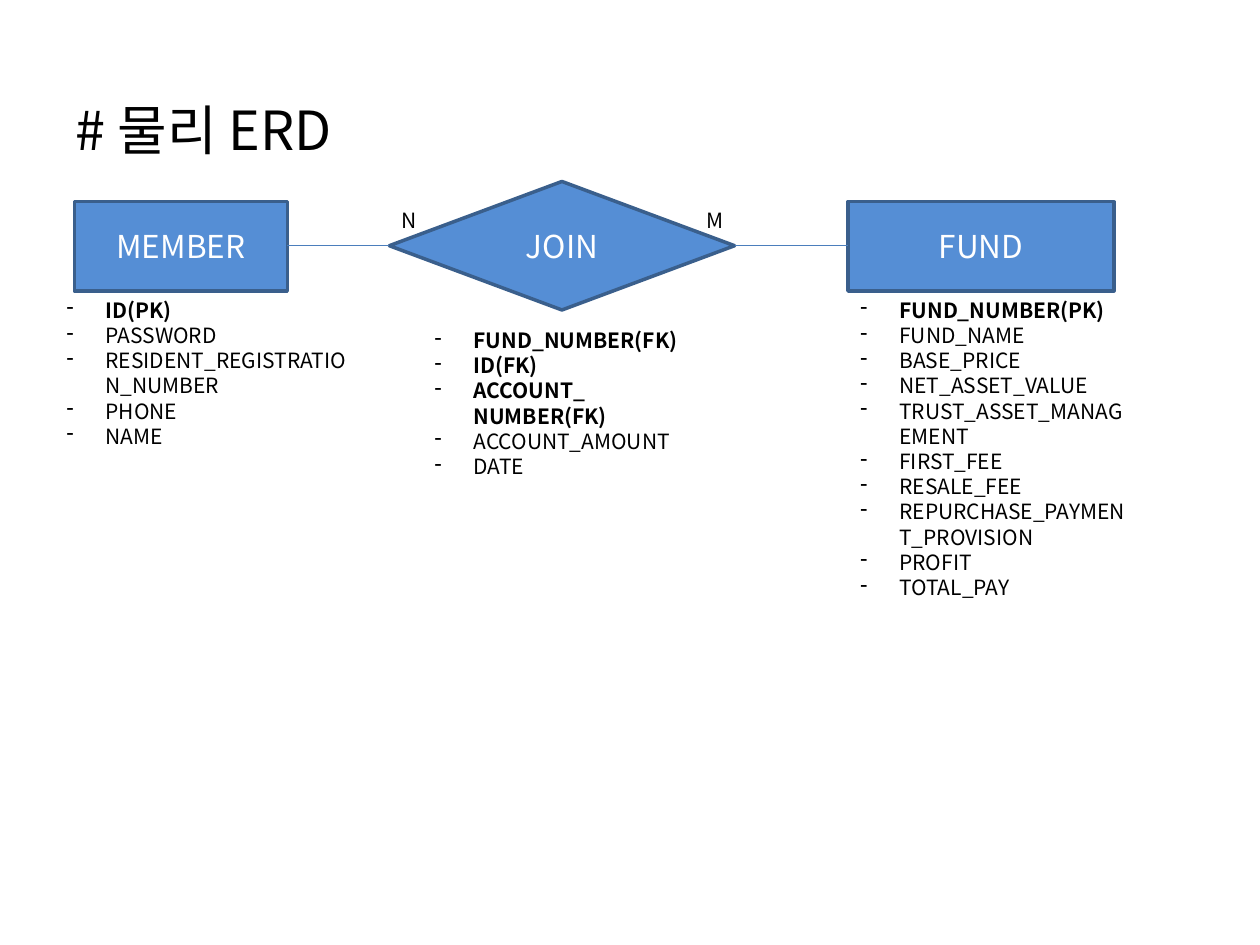
import dataclasses

import lxml.etree
import pptx
import pptx.dml.color
import pptx.enum.shapes
import pptx.enum.text
import pptx.oxml.ns
import pptx.util

Inches = pptx.util.Inches
Anchor = pptx.enum.text.MSO_ANCHOR
Shape = pptx.enum.shapes.MSO_SHAPE
qn = pptx.oxml.ns.qn

FONT = "Noto Sans CJK KR"
BLACK = "000000"
WHITE = "FFFFFF"
FILL = "558ED5"
OUTLINE = "3A5F8C"
CONNECTOR = "4B7EBC"
BULLET_INDENT = 0.31
AXIS_Y = 1.95


@dataclasses.dataclass
class Box:
    """A rectangle in inches."""
    left: float
    top: float
    width: float
    height: float

    def lengths(self) -> list:
        """Return the four measures as lengths."""
        return [Inches(n) for n in (self.left, self.top, self.width, self.height)]


@dataclasses.dataclass
class Entity:
    """A diagram node with its columns; the first key_count are bold."""
    name: str
    preset: pptx.enum.shapes.MSO_SHAPE
    box: Box
    columns_box: Box
    key_count: int
    columns: list[str]


ENTITIES = [
    Entity("MEMBER", Shape.RECTANGLE, Box(0.59, 1.6, 1.69, 0.71),
           Box(0.43, 2.31, 2.52, 1.31), 1,
           ["ID(PK)", "PASSWORD", "RESIDENT_REGISTRATION_NUMBER", "PHONE", "NAME"]),
    Entity("JOIN", Shape.DIAMOND, Box(3.09, 1.44, 2.74, 1.02),
           Box(3.35, 2.55, 2.49, 1.11), 3,
           ["FUND_NUMBER(FK)", "ID(FK)", "ACCOUNT_ NUMBER(FK)",
            "ACCOUNT_AMOUNT", "DATE"]),
    Entity("FUND", Shape.RECTANGLE, Box(6.73, 1.6, 2.11, 0.71),
           Box(6.73, 2.31, 2.36, 2.52), 1,
           ["FUND_NUMBER(PK)", "FUND_NAME", "BASE_PRICE", "NET_ASSET_VALUE",
            "TRUST_ASSET_MANAGEMENT", "FIRST_FEE", "RESALE_FEE",
            "REPURCHASE_PAYMENT_PROVISION", "PROFIT", "TOTAL_PAY"]),
]
CARDINALITIES = [("N", 3.09), ("M", 5.51)]


def color(value: str) -> pptx.dml.color.RGBColor:
    """Turn a hex string into a colour."""
    return pptx.dml.color.RGBColor.from_string(value)


def format_runs(paragraph, size: float, text_color: str, bold: bool = False) -> None:
    """Set font, size, colour and weight on each run."""
    for run in paragraph.runs:
        run.font.name = FONT
        run.font.size = pptx.util.Pt(size)
        run.font.bold = bold
        run.font.color.rgb = color(text_color)
        east_asian = lxml.etree.SubElement(run.font._element, qn("a:ea"))
        east_asian.set("typeface", FONT)


def add_text(shapes, box: Box, lines: list[str], size: float, bold_count: int = 0):
    """Add a wrapping text box with one paragraph per line."""
    frame = shapes.add_textbox(*box.lengths()).text_frame
    frame.word_wrap = True
    frame.text = "\n".join(lines)
    for index, paragraph in enumerate(frame.paragraphs):
        format_runs(paragraph, size, BLACK, index < bold_count)
    return frame


def add_dash(paragraph) -> None:
    """Give a paragraph a hanging dash bullet."""
    properties = paragraph._p.get_or_add_pPr()
    properties.set("marL", str(Inches(BULLET_INDENT)))
    properties.set("indent", str(-Inches(BULLET_INDENT)))
    lxml.etree.SubElement(properties, qn("a:buFontTx"))
    lxml.etree.SubElement(properties, qn("a:buChar")).set("char", "-")


def add_entity(slide, entity: Entity) -> None:
    """Draw a node and its column list as one group."""
    group = slide.shapes.add_group_shape()
    shape = group.shapes.add_shape(entity.preset, *entity.box.lengths())
    shape.shadow.inherit = False
    shape.fill.solid()
    shape.fill.fore_color.rgb = color(FILL)
    shape.line.color.rgb = color(OUTLINE)
    shape.line.width = pptx.util.Pt(2)
    shape.text_frame.text = entity.name
    shape.text_frame.vertical_anchor = Anchor.MIDDLE
    paragraph = shape.text_frame.paragraphs[0]
    paragraph.alignment = pptx.enum.text.PP_ALIGN.CENTER
    format_runs(paragraph, 18, WHITE)

    frame = add_text(group.shapes, entity.columns_box, entity.columns, 12,
                     entity.key_count)
    frame.auto_size = pptx.enum.text.MSO_AUTO_SIZE.SHAPE_TO_FIT_TEXT
    for paragraph in frame.paragraphs:
        add_dash(paragraph)


def add_link(slide, start: Box, end: Box) -> None:
    """Join the facing sides of two nodes."""
    connector = slide.shapes.add_connector(
        pptx.enum.shapes.MSO_CONNECTOR.STRAIGHT,
        Inches(start.left + start.width), Inches(AXIS_Y),
        Inches(end.left), Inches(AXIS_Y))
    connector.line.color.rgb = color(CONNECTOR)
    connector.line.width = pptx.util.Pt(0.75)
    lxml.etree.SubElement(connector._element.spPr, qn("a:effectLst"))


def main() -> None:
    """Build and save the slide."""
    presentation = pptx.Presentation()
    presentation.slide_width = Inches(10)
    presentation.slide_height = Inches(7.5)
    slide = presentation.slides.add_slide(presentation.slide_layouts[6])

    for entity in ENTITIES:
        add_entity(slide, entity)
    for start, end in zip(ENTITIES, ENTITIES[1:]):
        add_link(slide, start.box, end.box)
    for label, left in CARDINALITIES:
        frame = add_text(slide.shapes, Box(left, 1.6, 0.33, 0.3), [label], 12)
        frame.auto_size = pptx.enum.text.MSO_AUTO_SIZE.SHAPE_TO_FIT_TEXT

    title = add_text(slide.shapes, Box(0.5, 0.3, 9, 1.03), ["# 물리 ERD"], 30.8)
    title.vertical_anchor = Anchor.BOTTOM
    presentation.save("out.pptx")


main()
